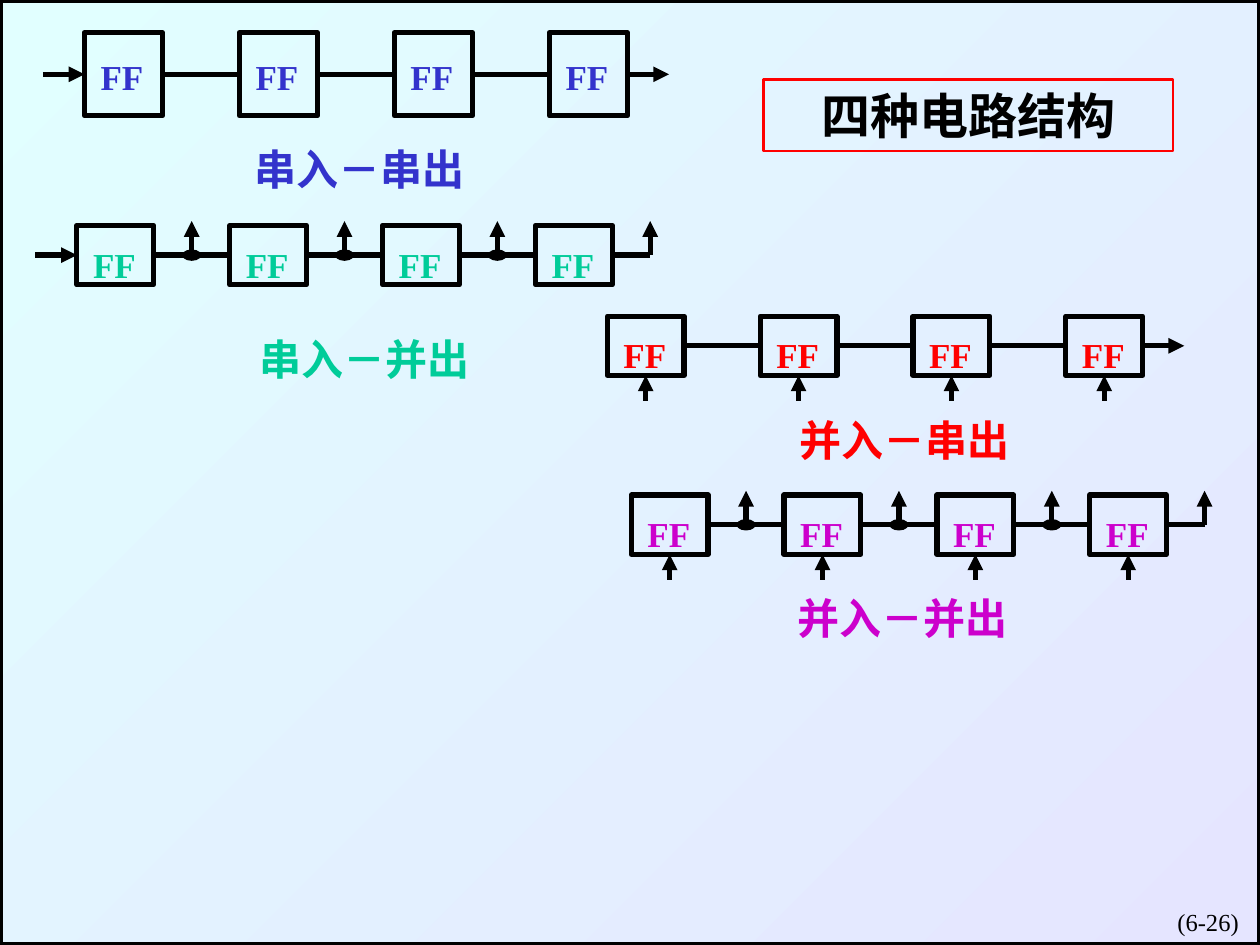
from lxml import etree
from pptx import Presentation
from pptx.dml.color import RGBColor
from pptx.enum import shapes, text
from pptx.oxml.ns import qn
from pptx.util import Inches, Pt

FONT = "Times New Roman"
BLACK = "000000"
TITLE = ("四种电路结构", 6.06, 0.63, 3.25, 0.57)
PAGE_NUMBER = ("(6-26)", 7.85, 7.15, 2.08, 0.5)
STAGES = 4
STUB = 0.33        # serial input and output arrows
TAP_RISE = 0.27    # parallel output arrows
FEED_RISE = 0.2    # parallel input arrows
DOT_W, DOT_H = 0.14, 0.08
TOP, LEFT, BOTTOM, RIGHT = range(4)

# Each register: first box (left, top, width, height), pitch, FF offset, label box
REGISTERS = [
    dict(label="串入－串出", color="3333CC", box=(0.67, 0.26, 0.62, 0.66), pitch=1.23,
         ff=(0.03, 0.13), label_at=(1.92, 1.09, 1.88), inputs="serial", outputs="serial"),
    dict(label="串入－并出", color="00CC99", box=(0.61, 1.79, 0.61, 0.47), pitch=1.213,
         ff=(0.03, 0.09), label_at=(1.96, 2.6, 1.88), inputs="serial", outputs="parallel"),
    dict(label="并入－串出", color="FF0000", box=(4.82, 2.51, 0.61, 0.47), pitch=1.213,
         ff=(0.03, 0.09), label_at=(6.25, 3.24, 2.09), inputs="parallel", outputs="serial"),
    dict(label="并入－并出", color="CC00CC", box=(5.01, 3.93, 0.61, 0.47), pitch=1.213,
         ff=(0.03, 0.09), label_at=(6.23, 4.65, 2.11), inputs="parallel", outputs="parallel"),
]


def rgb(color):
    return RGBColor.from_string(color)


def add_shape(parent, kind, x, y, w, h, line, width, fill=None):
    sp = parent.add_shape(kind, Inches(x), Inches(y), Inches(w), Inches(h))
    sp.shadow.inherit = False
    sp.line.color.rgb = rgb(line)
    sp.line.width = Pt(width)
    if fill:
        sp.fill.solid()
        sp.fill.fore_color.rgb = rgb(fill)
    else:
        sp.fill.background()
    return sp


def write(sp, words, size, color, bold=True, align=text.PP_ALIGN.LEFT):
    tf = sp.text_frame
    tf.word_wrap = True
    tf.vertical_anchor = text.MSO_ANCHOR.TOP
    p = tf.paragraphs[0]
    p.alignment = align
    r = p.add_run()
    r.text = words
    r.font.name = FONT
    r.font.size = Pt(size)
    r.font.bold = bold
    r.font.color.rgb = rgb(color)


def add_text(parent, words, x, y, w, h, size, color, **style):
    sp = parent.add_textbox(Inches(x), Inches(y), Inches(w), Inches(h))
    write(sp, words, size, color, **style)


def add_wire(parent, x1, y1, x2, y2, arrow=False, begin=None, end=None):
    """Draw a wire; begin and end are optional (box, side) joints."""
    cx = parent.add_connector(shapes.MSO_CONNECTOR.STRAIGHT,
                              Inches(x1), Inches(y1), Inches(x2), Inches(y2))
    if begin:
        cx.begin_connect(*begin)
    if end:
        cx.end_connect(*end)
    cx.line.color.rgb = rgb(BLACK)
    cx.line.width = Pt(3)
    if arrow:
        etree.SubElement(cx.line._get_or_add_ln(), qn("a:tailEnd"), type="triangle")
    etree.SubElement(cx._element.spPr, qn("a:effectLst"))


def add_register(slide, reg):
    group = slide.shapes.add_group_shape().shapes
    x0, y, w, h = reg["box"]
    lefts = [x0 + i * reg["pitch"] for i in range(STAGES)]
    mid, bottom, last_right = y + h / 2, y + h, lefts[-1] + w
    gap = reg["pitch"] - w
    boxes = [add_shape(group, shapes.MSO_SHAPE.RECTANGLE, x, y, w, h, BLACK, 3)
             for x in lefts]

    for x, box, following in zip(lefts, boxes, boxes[1:]):
        add_wire(group, x + w, mid, x + reg["pitch"], mid,
                 begin=(box, RIGHT), end=(following, LEFT))

    if reg["inputs"] == "serial":
        add_wire(group, x0 - STUB, mid, x0, mid, arrow=True, end=(boxes[0], LEFT))
    else:
        for x, box in zip(lefts, boxes):
            add_wire(group, x + w / 2, bottom + FEED_RISE, x + w / 2, bottom,
                     arrow=True, end=(box, BOTTOM))

    if reg["outputs"] == "serial":
        add_wire(group, last_right, mid, last_right + STUB, mid,
                 arrow=True, begin=(boxes[-1], RIGHT))
    else:
        taps = [x + w + gap / 2 for x in lefts]
        for tap in taps:
            add_wire(group, tap, mid, tap, mid - TAP_RISE, arrow=True)
        for tap in taps[:-1]:
            add_shape(group, shapes.MSO_SHAPE.OVAL, tap - DOT_W / 2, mid - DOT_H / 2,
                      DOT_W, DOT_H, BLACK, 0.75, fill=BLACK)
        add_wire(group, last_right, mid, taps[-1], mid, begin=(boxes[-1], RIGHT))

    dx, dy = reg["ff"]
    for x in lefts:
        add_text(group, "FF", x + dx, y + dy, 0.67, 0.44, 20, reg["color"])
    add_text(slide.shapes, reg["label"], *reg["label_at"], 0.5, 24, reg["color"])


def main():
    prs = Presentation()
    prs.slide_width, prs.slide_height = Inches(10), Inches(7.5)
    s = prs.slides.add_slide(prs.slide_layouts[6])

    frame = add_shape(s.shapes, shapes.MSO_SHAPE.RECTANGLE, 0, 0, 10, 7.5, BLACK, 3)
    frame.fill.gradient()
    frame.fill.gradient_angle = 315
    for stop, color in zip(frame.fill.gradient_stops, ("E1FFFF", "E5E5FF")):
        stop.color.rgb = rgb(color)

    add_text(s.shapes, *PAGE_NUMBER, 14, BLACK, bold=False, align=text.PP_ALIGN.RIGHT)
    words, *place = TITLE
    title = add_shape(s.shapes, shapes.MSO_SHAPE.RECTANGLE, *place, "FF0000", 1.5)
    write(title, words, 28, BLACK, align=text.PP_ALIGN.CENTER)

    for reg in REGISTERS:
        add_register(s, reg)
    prs.save("out.pptx")


if __name__ == "__main__":
    main()
